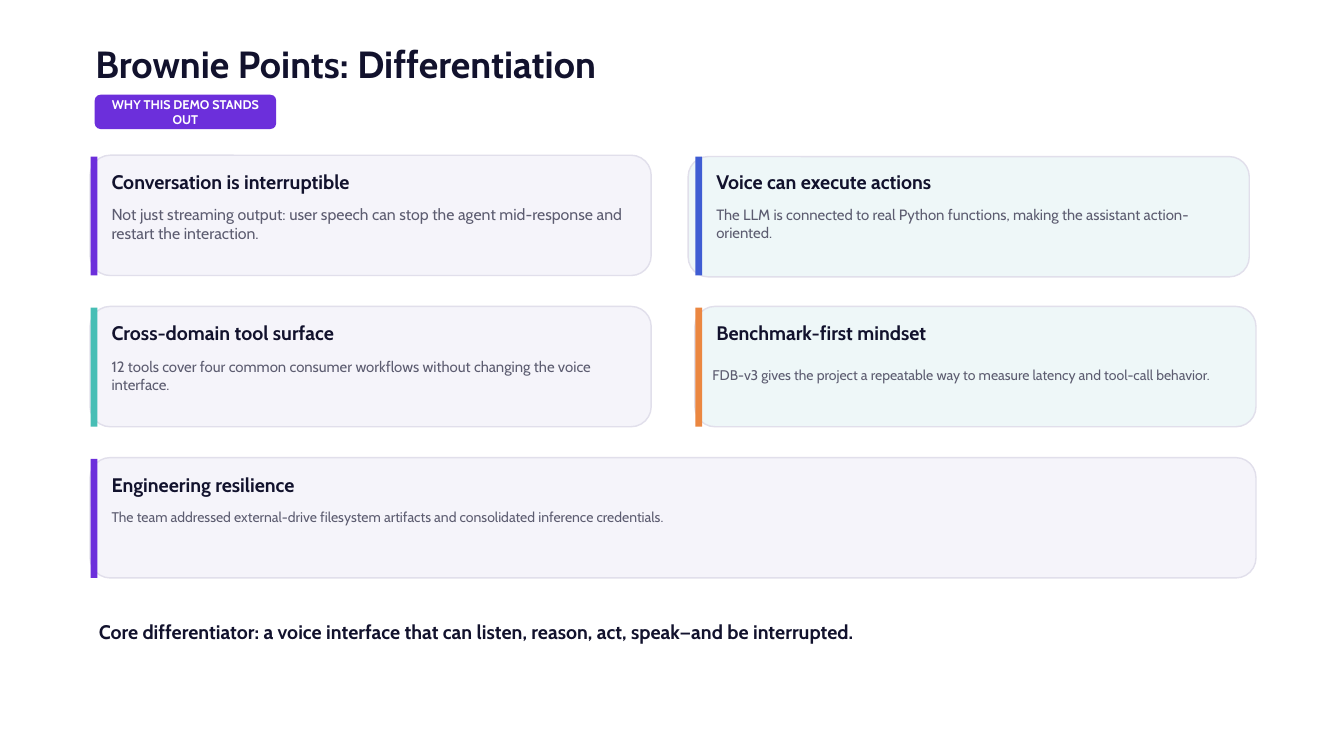
import pptx
import pptx.util
from pptx.dml.color import RGBColor
from pptx.enum.shapes import MSO_SHAPE
from pptx.enum.text import MSO_ANCHOR, PP_ALIGN

INK = RGBColor(0x12, 0x12, 0x2D)
GREY = RGBColor(0x5C, 0x5C, 0x70)
WHITE = RGBColor(0xFF, 0xFF, 0xFF)
PURPLE = RGBColor(0x6C, 0x2F, 0xDB)
BLUE = RGBColor(0x3F, 0x5D, 0xD3)
TEAL = RGBColor(0x47, 0xBE, 0xB5)
ORANGE = RGBColor(0xEB, 0x87, 0x41)
LILAC = RGBColor(0xF5, 0xF4, 0xFA)
MINT = RGBColor(0xEE, 0xF7, 0xF8)
BORDER = RGBColor(0xE1, 0xDF, 0xEB)

FONT = "Cabin"
LEADING = 1.2  # line pitch as a multiple of the font size

# Card grid, in inches
LEFT, TOP = 1.34, 2.31
COL_PITCH, ROW_PITCH = 9.0, 2.25
CARD_W, CARD_H = 8.35, 1.79

# column, row, columns spanned, panel colour, bar colour, heading, body,
# body size, body offset from the card, panel offset from the grid
CARDS = [
    (0, 0, 1, LILAC, PURPLE, "Conversation is interruptible",
     "Not just streaming output: user speech can stop the agent mid-response "
     "and restart the interaction.", 17, (0.32, 0.74), (0, 0)),
    (1, 0, 1, MINT, BLUE, "Voice can execute actions",
     "The LLM is connected to real Python functions, making the assistant "
     "action-oriented.", 16, (0.32, 0.75), (-0.1, 0.02)),
    (0, 1, 1, LILAC, TEAL, "Cross-domain tool surface",
     "12 tools cover four common consumer workflows without changing the "
     "voice interface.", 16, (0.32, 0.76), (0, 0)),
    (1, 1, 1, MINT, ORANGE, "Benchmark-first mindset",
     "FDB-v3 gives the project a repeatable way to measure latency and "
     "tool-call behavior.", 15, (0.26, 0.9), (0, 0)),
    (0, 2, 2, LILAC, PURPLE, "Engineering resilience",
     "The team addressed external-drive filesystem artifacts and consolidated "
     "inference credentials.", 15, (0.32, 0.76), (0, 0)),
]


def inches(*values):
    return [pptx.util.Inches(v) for v in values]


def write(tf, text, size, color, bold=False, margin=0):
    tf.word_wrap = True
    tf.margin_left = tf.margin_right = pptx.util.Inches(margin)
    tf.margin_top = tf.margin_bottom = pptx.util.Inches(margin)
    tf.text = text
    p = tf.paragraphs[0]
    p.line_spacing = pptx.util.Pt(size * LEADING)
    font = p.runs[0].font
    font.name, font.size, font.bold = FONT, pptx.util.Pt(size), bold
    font.color.rgb = color
    return p


def add_text(slide, box, text, size, color=INK, bold=False):
    sp = slide.shapes.add_textbox(*inches(*box))
    write(sp.text_frame, text, size, color, bold)


def add_block(slide, preset, box, fill, line=None):
    sp = slide.shapes.add_shape(preset, *inches(*box))
    sp.shadow.inherit = False
    sp.fill.solid()
    sp.fill.fore_color.rgb = fill
    if line is None:
        sp.line.fill.background()
    else:
        sp.line.color.rgb = line
        sp.line.width = pptx.util.Pt(1.5)
    return sp


def add_header(slide, x, y, w):
    add_text(slide, (x, y, w, 0.77), "Brownie Points: Differentiation",
             40.5, bold=True)
    # Tag under the title
    sp = add_block(slide, MSO_SHAPE.ROUNDED_RECTANGLE,
                   (x - 0.01, y + 0.81, 2.7, 0.51), PURPLE)
    p = write(sp.text_frame, "WHY THIS DEMO STANDS OUT", 13.5, WHITE, True, 0.06)
    p.alignment = PP_ALIGN.CENTER
    sp.text_frame.vertical_anchor = MSO_ANCHOR.MIDDLE


def add_card(slide, x, y, w, h, panel, bar, heading, body, size, body_at, shift):
    # Panel with its accent bar
    add_block(slide, MSO_SHAPE.ROUNDED_RECTANGLE,
              (x + shift[0], y + shift[1], w, h), panel, BORDER)
    add_block(slide, MSO_SHAPE.RECTANGLE, (x + 0.01, y + 0.02, 0.1, h - 0.02), bar)
    # Heading and body
    text_w = w - 0.52
    add_text(slide, (x + 0.32, y + 0.22, text_w, 0.42), heading, 21, bold=True)
    add_text(slide, (x + body_at[0], y + body_at[1], text_w, 0.57),
             body, size, GREY)


def add_cards(slide, left, top):
    for col, row, span, *content in CARDS:
        add_card(slide, left + col * COL_PITCH, top + row * ROW_PITCH,
                 CARD_W + (span - 1) * COL_PITCH, CARD_H, *content)


def main():
    prs = pptx.Presentation()
    prs.slide_width, prs.slide_height = inches(20, 11.25)
    slide = prs.slides.add_slide(prs.slide_layouts[6])
    add_header(slide, 1.42, 0.6, 17.17)
    add_cards(slide, LEFT, TOP)
    # Closing statement
    add_text(slide, (1.47, 9.23, 16.42, 0.5),
             "Core differentiator: a voice interface that can listen, reason, "
             "act, speak—and be interrupted.", 21, bold=True)
    prs.save("out.pptx")


if __name__ == "__main__":
    main()
